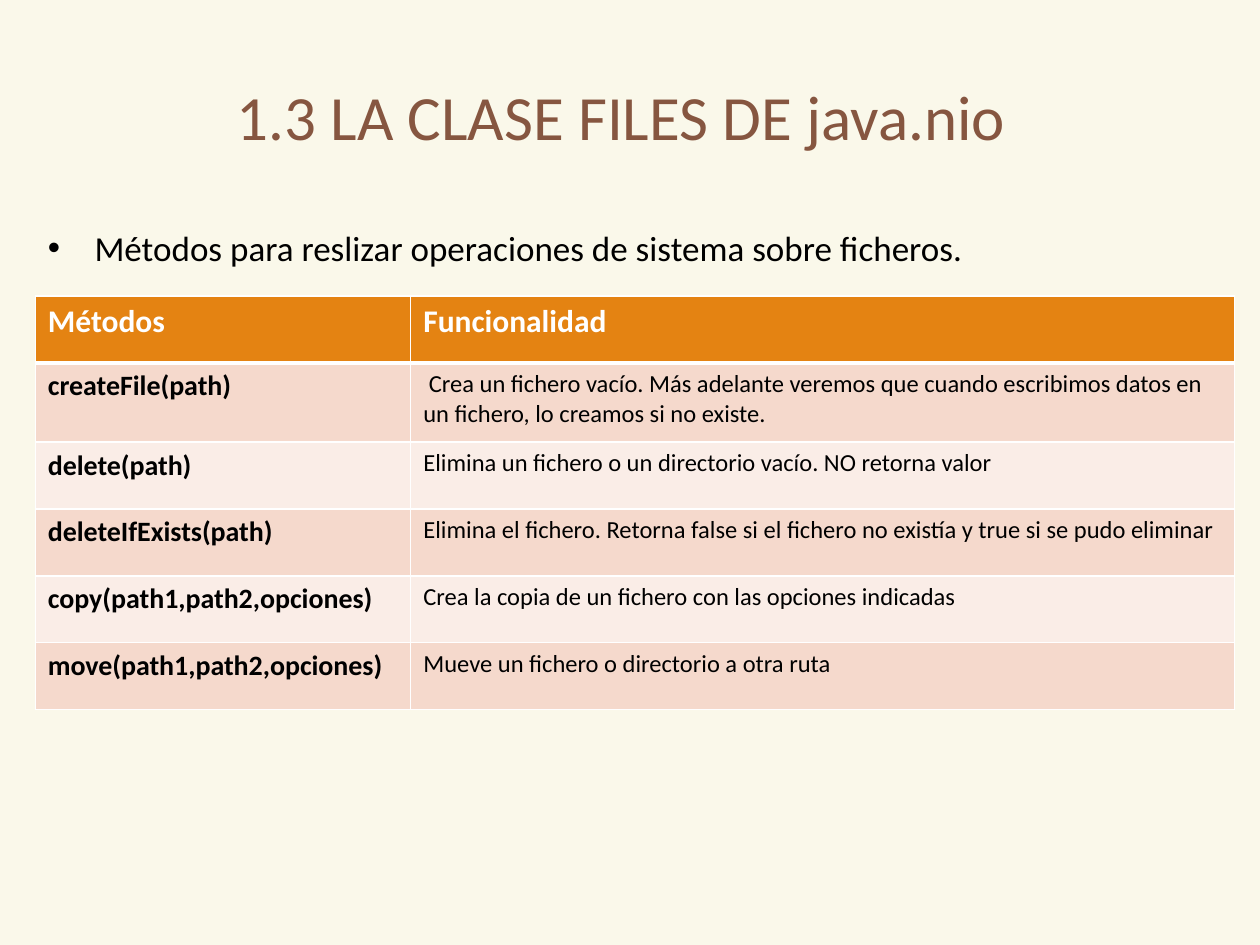
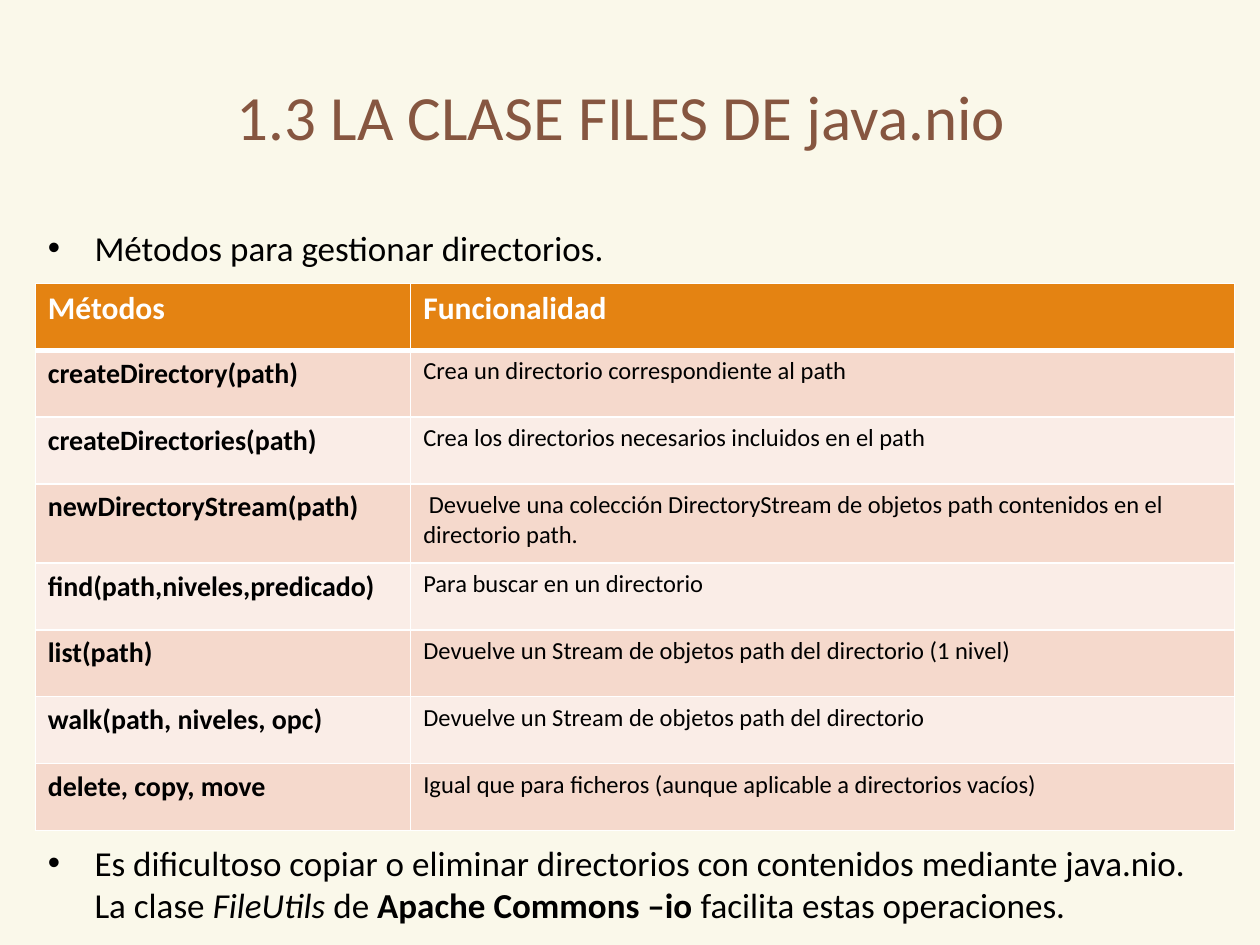
"""Build two slides on the methods of the Files class of java.nio."""
import dataclasses

import pptx
import pptx.dml.color
import pptx.enum.text
import pptx.oxml
import pptx.oxml.ns
import pptx.util

Inches, Pt = pptx.util.Inches, pptx.util.Pt


@dataclasses.dataclass(frozen=True)
class Theme:
    font: str = "Calibri"
    background: str = "FAF8EA"
    title: str = "865640"
    text: str = "000000"
    white: str = "FFFFFF"
    header: str = "E48312"
    bands: tuple = ("F5D9CC", "FAEDE7")
    title_size: int = 36
    body_size: int = 20
    header_size: int = 18
    method_size: int = 16
    detail_size: int = 14


theme = Theme()
TITLE = "1.3 LA CLASE FILES DE java.nio"
HEADER = ("Métodos", "Funcionalidad")
COL_WIDTHS = (2.98, 6.54)
ROW_HEIGHT, TALL_ROW_HEIGHT = 0.53, 0.63

slides = [
    {
        "bullets": [
            (0, [("Métodos para reslizar operaciones de sistema sobre ficheros.", "")]),
        ],
        "table_top": 2.35,
        "tall_row": 1,
        "methods": [
            ("createFile(path)", " Crea un fichero vacío. Más adelante veremos que cuando "
             "escribimos datos en un fichero, lo creamos si no existe."),
            ("delete(path)", "Elimina un fichero o un directorio vacío. NO retorna valor"),
            ("deleteIfExists(path)", "Elimina el fichero. Retorna false si el fichero no "
             "existía y true si se pudo eliminar"),
            ("copy(path1,path2,opciones)", "Crea la copia de un fichero con las opciones indicadas"),
            ("move(path1,path2,opciones)", "Mueve un fichero o directorio a otra ruta"),
        ],
    },
    {
        "bullets": [
            (0, [("Métodos para gestionar directorios.", "")]),
            (327, [
                ("Es dificultoso copiar o eliminar directorios con contenidos mediante "
                 "java.nio. La clase ", ""),
                ("FileUtils", "i"),
                (" de ", ""),
                ("Apache Commons –io ", "b"),
                ("facilita estas operaciones.", ""),
            ]),
        ],
        "table_top": 2.25,
        "tall_row": 3,
        "methods": [
            ("createDirectory(path)", "Crea un directorio correspondiente al path"),
            ("createDirectories(path)", "Crea los directorios necesarios incluidos en el path"),
            ("newDirectoryStream(path)", " Devuelve una colección DirectoryStream de objetos "
             "path contenidos en el directorio path."),
            ("find(path,niveles,predicado)", "Para buscar en un directorio"),
            ("list(path)", "Devuelve un Stream de objetos path del directorio (1 nivel)"),
            ("walk(path, niveles, opc)", "Devuelve un Stream de objetos path del directorio"),
            ("delete, copy, move", "Igual que para ficheros (aunque aplicable a directorios vacíos)"),
        ],
    },
]


def add_run(p, text, size, color, bold=False, italic=False):
    r = p.add_run()
    r.text = text
    r.font.name = theme.font
    r.font.size = Pt(size)
    r.font.bold = bold
    r.font.italic = italic
    r.font.color.rgb = pptx.dml.color.RGBColor.from_string(color)


def add_xml(parent, xml):
    root, rest = xml.split(" ", 1) if " " in xml.split(">")[0] else xml.split(">", 1)
    joint = " " if " " in xml.split(">")[0] else ">"
    parent.append(pptx.oxml.parse_xml(f"{root} {pptx.oxml.ns.nsdecls('a')}{joint}{rest}"))


prs = pptx.Presentation()
prs.slide_width, prs.slide_height = Inches(10), Inches(7.5)
fill = prs.slide_master.background.fill
fill.solid()
fill.fore_color.rgb = pptx.dml.color.RGBColor.from_string(theme.background)

for content in slides:
    s = prs.slides.add_slide(prs.slide_layouts[1])
    title, body = s.shapes.title, s.placeholders[1]

    title.left, title.top, title.width, title.height = map(Inches, (0.43, 0.23, 9, 1.37))
    tf = title.text_frame
    tf.auto_size = pptx.enum.text.MSO_AUTO_SIZE.NONE
    tf.vertical_anchor = pptx.enum.text.MSO_ANCHOR.MIDDLE
    p = tf.paragraphs[0]
    p.alignment = pptx.enum.text.PP_ALIGN.CENTER
    add_run(p, TITLE, theme.title_size, theme.title)

    body.left, body.top, body.width, body.height = map(Inches, (0.28, 1.75, 9.53, 5.52))
    tf = body.text_frame
    tf.auto_size = pptx.enum.text.MSO_AUTO_SIZE.NONE
    for i, (space_before, runs) in enumerate(content["bullets"]):
        p = tf.add_paragraph() if i else tf.paragraphs[0]
        pPr = p._p.get_or_add_pPr()
        pPr.set("marL", str(Inches(0.37)))
        pPr.set("indent", str(-Inches(0.37)))
        add_xml(pPr, f'<a:buClr><a:srgbClr val="{theme.text}"/></a:buClr>')
        add_xml(pPr, '<a:buFont typeface="Arial"/>')
        add_xml(pPr, '<a:buChar char="•"/>')
        p.space_before = Pt(space_before)
        for text, style in runs:
            add_run(p, text, theme.body_size, theme.text, style == "b", style == "i")

    rows = [HEADER] + content["methods"]
    heights = [ROW_HEIGHT] * len(rows)
    heights[content["tall_row"]] = TALL_ROW_HEIGHT
    table = s.shapes.add_table(
        len(rows), len(HEADER), Inches(0.28), Inches(content["table_top"]),
        Inches(sum(COL_WIDTHS)), Inches(sum(heights))).table
    table.horz_banding = False
    for column, width in zip(table.columns, COL_WIDTHS):
        column.width = Inches(width)
    for i, row in enumerate(rows):
        table.rows[i].height = Inches(heights[i])
        for j, text in enumerate(row):
            cell = table.cell(i, j)
            tcPr = cell._tc.get_or_add_tcPr()
            for side in "LRTB":
                thick = (i, side) in ((0, "B"), (1, "T"))
                add_xml(tcPr, f'<a:ln{side} w="{Pt(3 if thick else 1)}"><a:solidFill>'
                              f'<a:srgbClr val="{theme.white}"/></a:solidFill></a:ln{side}>')
            cell.fill.solid()
            color = theme.bands[(i - 1) % 2] if i else theme.header
            cell.fill.fore_color.rgb = pptx.dml.color.RGBColor.from_string(color)
            size = (theme.method_size, theme.detail_size)[j] if i else theme.header_size
            add_run(cell.text_frame.paragraphs[0], text, size,
                    theme.text if i else theme.white, bold=i == 0 or j == 0)

prs.save("out.pptx")
